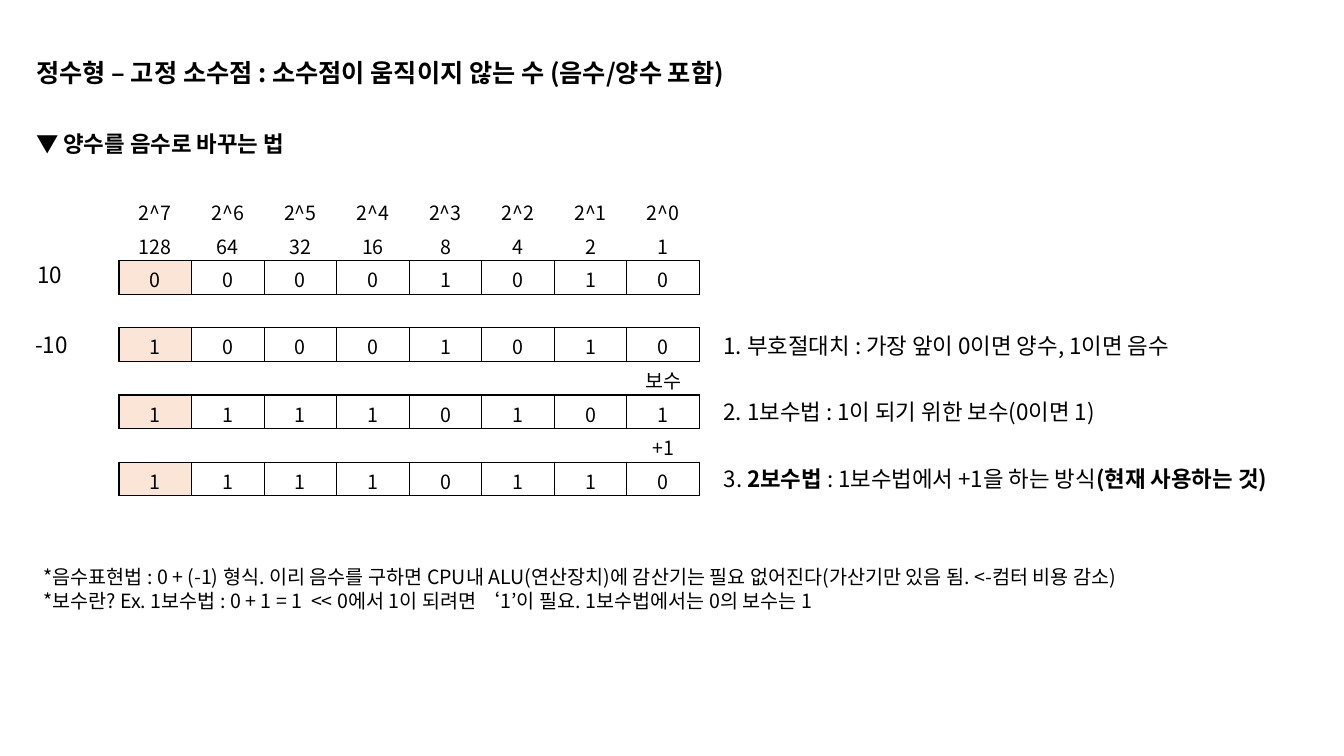
import pptx
import pptx.dml.color
import pptx.enum.text
import pptx.oxml
import pptx.oxml.ns
import pptx.util

Pt = pptx.util.Pt
ALIGN = pptx.enum.text.PP_ALIGN
ANCHOR = pptx.enum.text.MSO_ANCHOR
qn = pptx.oxml.ns.qn

FONT = "Noto Sans CJK KR"
COLORS = {"ink": "000000", "paper": "FFFFFF", "sign": "FBE5D6"}
BITS = 8
ROW_HEIGHT = 24
COLUMN_WIDTH = 51.84
BIT_ROWS = {2: "00001010", 4: "10001010", 6: "11110101", 8: "11110110"}
SPACER_NOTES = {3: "", 5: "보수", 7: "+1"}


def color(name):
    return pptx.dml.color.RGBColor.from_string(COLORS[name])


def add_span(para, text, size=16, bold=False):
    span = para.add_run()
    span.text = text
    span.font.size = Pt(size)
    span.font.bold = bold
    span.font.name = FONT
    span.font.color.rgb = color("ink")
    properties = span.font._element
    east_asian = properties.makeelement(qn("a:ea"), {"typeface": FONT})
    properties.find(qn("a:latin")).addnext(east_asian)


def write_paragraphs(frame, paragraphs, size=16, bold=False):
    for index, text in enumerate(paragraphs):
        para = frame.add_paragraph() if index else frame.paragraphs[0]
        para.alignment = ALIGN.LEFT
        spans = [(text, bold)] if isinstance(text, str) else text
        for words, weight in spans:
            add_span(para, words, size=size, bold=weight)


def add_title(page, text, left, top, width, height):
    title = page.shapes.title
    title.left, title.top = Pt(left), Pt(top)
    title.width, title.height = Pt(width), Pt(height)
    frame = title.text_frame
    frame.auto_size = pptx.enum.text.MSO_AUTO_SIZE.NONE
    frame.word_wrap = False
    frame.vertical_anchor = ANCHOR.TOP
    write_paragraphs(frame, [text], size=18, bold=True)
    frame.paragraphs[0].space_before = Pt(0)


def add_text(page, paragraphs, left, top, width, height=26.6, size=16, bold=False):
    box = page.shapes.add_textbox(Pt(left), Pt(top), Pt(width), Pt(height))
    box.text_frame.word_wrap = False
    write_paragraphs(box.text_frame, paragraphs, size=size, bold=bold)


def set_borders(cell, visible):
    properties = cell._tc.get_or_add_tcPr()
    for edge in ("L", "R", "T", "B"):
        line = properties.makeelement(qn("a:ln" + edge), {"w": str(Pt(1))})
        properties.append(line)
        if edge in visible:
            paint = line.makeelement(qn("a:solidFill"), {})
            paint.append(paint.makeelement(qn("a:srgbClr"), {"val": COLORS["ink"]}))
        else:
            paint = line.makeelement(qn("a:noFill"), {})
        line.append(paint)


def format_cell(cell, text, borders, fill):
    cell.margin_left = cell.margin_right = Pt(0.56)
    cell.margin_top = cell.margin_bottom = Pt(0.56)
    cell.vertical_anchor = ANCHOR.BOTTOM
    set_borders(cell, borders)
    if fill:
        cell.fill.solid()
        cell.fill.fore_color.rgb = color(fill)
    else:
        cell.fill.background()
    para = cell.text_frame.paragraphs[0]
    para.alignment = ALIGN.CENTER
    if text:
        add_span(para, text, size=14)
    else:
        ending = para._p.makeelement(qn("a:endParaRPr"), {"sz": "1400"})
        para._p.append(ending)


def cell_content(row, column):
    power = BITS - 1 - column
    if row == 0:
        return f"2^{power}", "", None
    if row == 1:
        return str(2 ** power), "B", None
    if row in BIT_ROWS:
        return BIT_ROWS[row][column], "LRTB", None if column else "sign"
    return SPACER_NOTES[row] if power == 0 else "", "TB", "paper"


def add_bit_table(page, left, top):
    rows = 2 + len(BIT_ROWS) + len(SPACER_NOTES)
    table = page.shapes.add_table(
        rows, BITS, Pt(left), Pt(top), Pt(BITS * COLUMN_WIDTH), Pt(rows * ROW_HEIGHT)
    ).table
    table.first_row = False
    table.horz_banding = False
    for column in table.columns:
        column.width = Pt(COLUMN_WIDTH)
    for row in range(rows):
        table.rows[row].height = Pt(ROW_HEIGHT)
        for column in range(BITS):
            format_cell(table.cell(row, column), *cell_content(row, column))


def main():
    deck = pptx.Presentation()
    deck.slide_width, deck.slide_height = Pt(960), Pt(540)
    page = deck.slides.add_slide(deck.slide_layouts[5])

    add_title(page, "정수형 – 고정 소수점 : 소수점이 움직이지 않는 수 (음수/양수 포함)",
              18.7, 37.4, 568.8, 29)
    add_text(page, ["▼ 양수를 음수로 바꾸는 법"], 18.7, 89.5, 200, bold=True)
    add_bit_table(page, 85, 138.24)
    add_text(page, ["10"], 19.4, 182.9, 32.4)
    add_text(page, ["-10"], 18, 233.3, 38.9)

    methods = [
        ("1. 부호절대치 : 가장 앞이 0이면 양수, 1이면 음수", 372.2),
        ("2. 1보수법 : 1이 되기 위한 보수(0이면 1)", 309.6),
        ([("3. ", False), ("2보수법 ", True), (": 1보수법에서 +1을 하는 방식", False),
          ("(현재 사용하는 것)", True)], 447.1),
    ]
    for index, (text, width) in enumerate(methods):
        add_text(page, [text], 509.8, 234 + 47.2 * index, width)

    add_text(page, [
        "*음수표현법 : 0 + (-1) 형식. 이리 음수를 구하면 CPU내 ALU(연산장치)에 감산기는 "
        "필요 없어진다(가산기만 있음 됨. <-컴터 비용 감소)",
        "*보수란? Ex. 1보수법 : 0 + 1 = 1  << 0에서 1이 되려면 ‘1’이 필요. "
        "1보수법에서는 0의 보수는 1",
    ], 23.8, 400.3, 858.2, height=41, size=14)
    deck.save("out.pptx")


if __name__ == "__main__":
    main()
